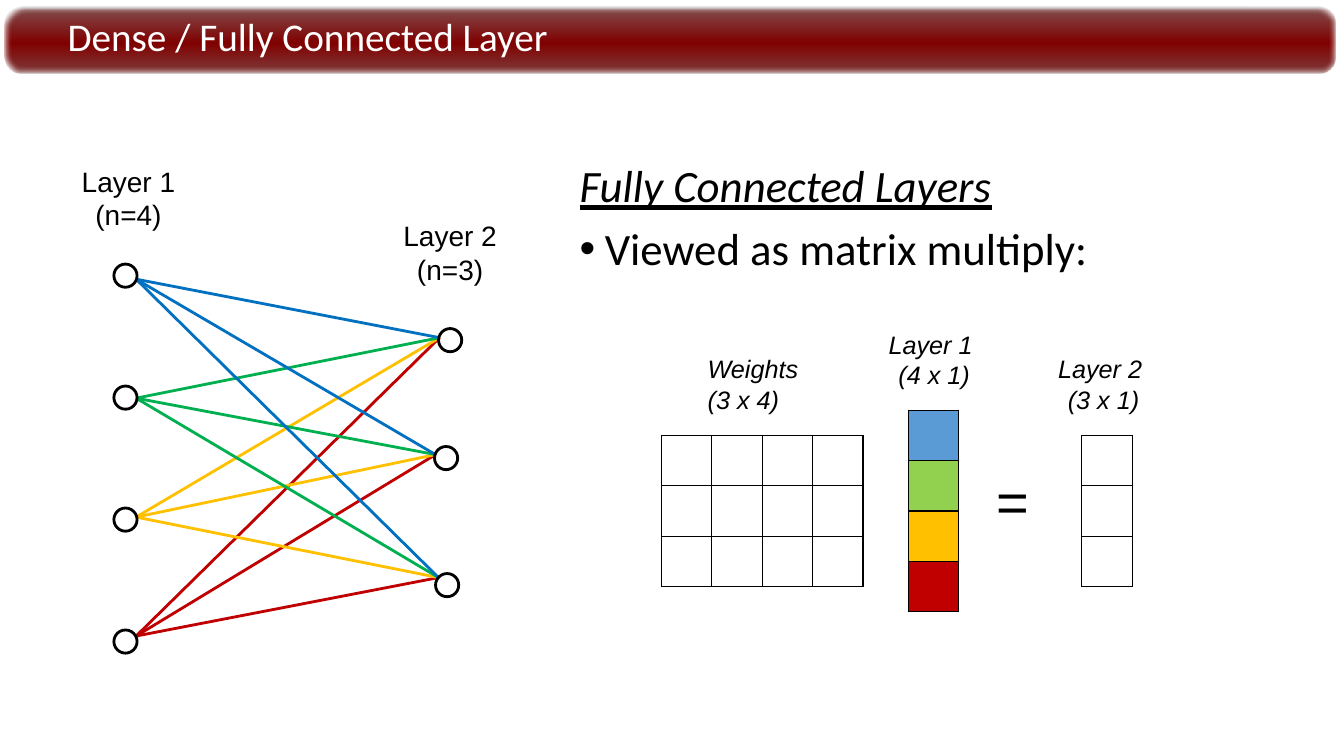
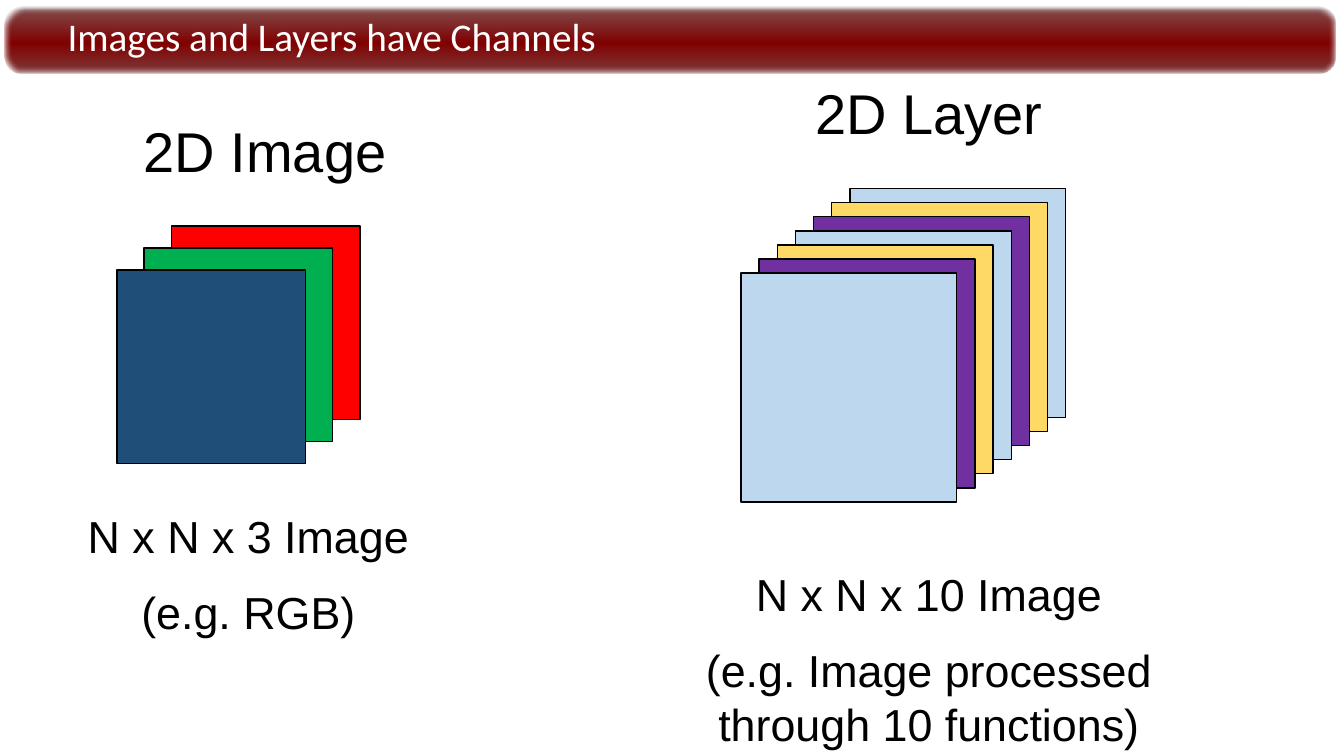
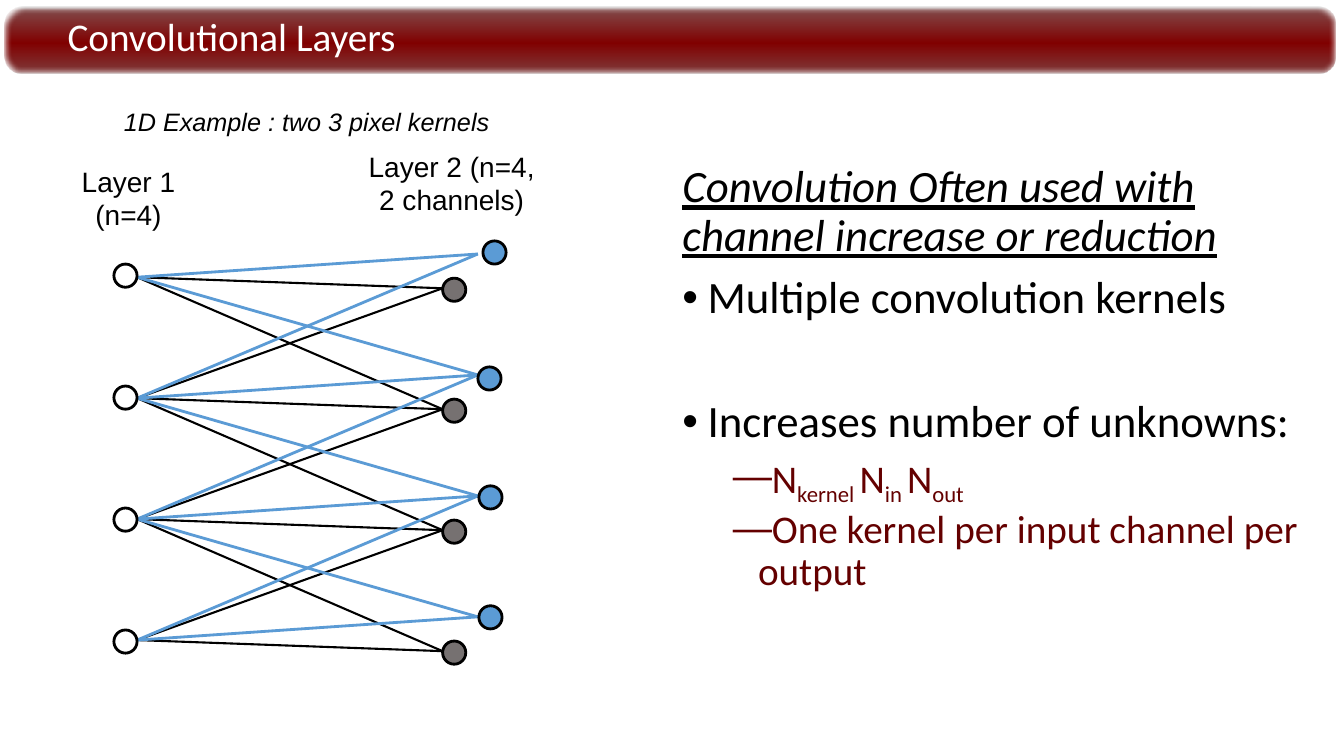
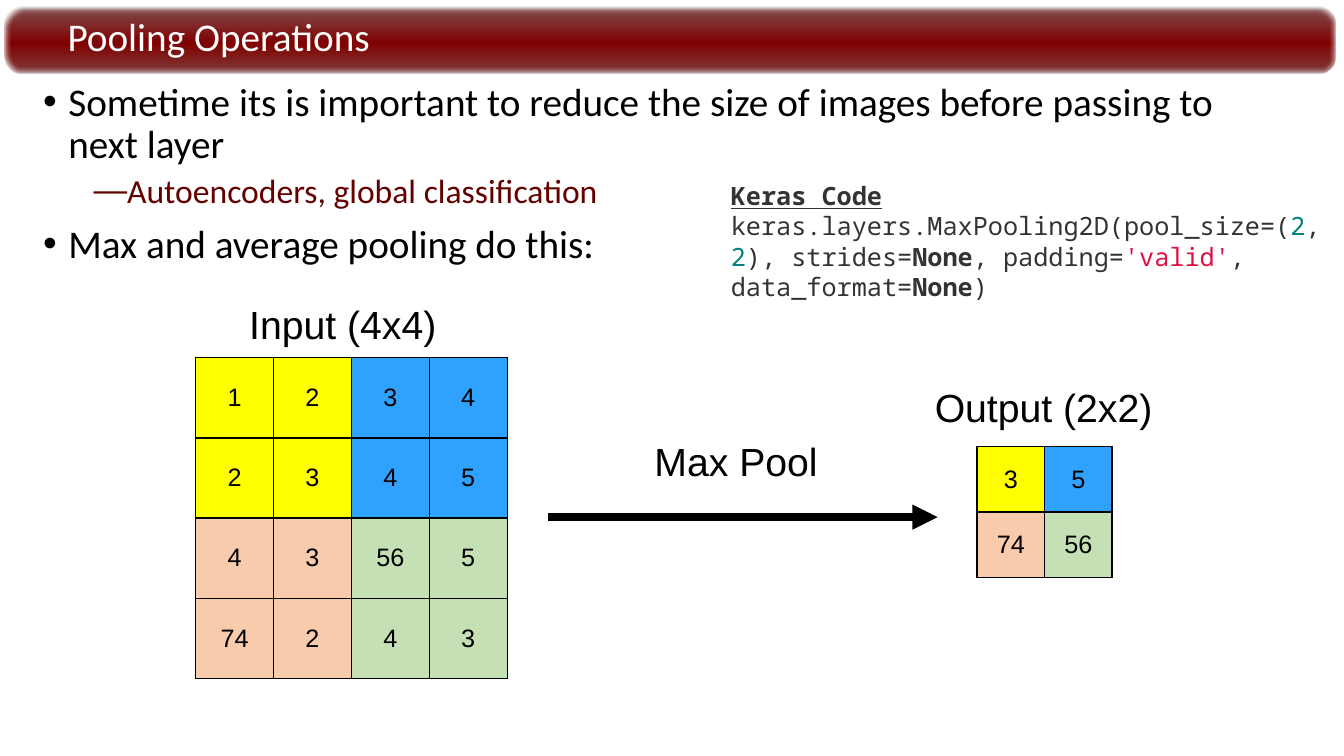
import pptx
import pptx.dml.color
import pptx.enum.shapes
import pptx.enum.text
import pptx.oxml.ns
import pptx.util
from lxml import etree

Inches = pptx.util.Inches
Pt = pptx.util.Pt
qn = pptx.oxml.ns.qn
SHAPE = pptx.enum.shapes.MSO_SHAPE
ALIGN = pptx.enum.text.PP_ALIGN
ANCHOR = pptx.enum.text.MSO_ANCHOR
AUTO_SIZE = pptx.enum.text.MSO_AUTO_SIZE

BLACK = "000000"
WHITE = "FFFFFF"
MAROON = "640000"
RED = "C00000"
AMBER = "FFC000"
GREEN = "00B050"
BLUE = "0070C0"
SKY = "5B9BD5"
GRAY = "767171"
BAND_STOPS = [
    (0, "808080", 50),
    (5, "814949", 100),
    (54, "800000", 100),
    (96, "7F3838", 100),
    (100, "7F6060", 100),
    (100, "808080", 50),
]

NODE_SIZE = 0.23
INPUT_NODES = [(1.13, 2.62 + 1.21 * row) for row in range(4)]
BODY = {"font": "Calibri", "line_spacing": 0.9}
HEADING = {**BODY, "size": 32, "italic": True, "underline": True}
BULLET = {**BODY, "before": 10, "bullet": "•", "indent": 0.25}
DASH = {**BODY, "before": 5, "bullet": "―", "indent": 0.75, "level": 1, "color": MAROON}
LABEL = {"align": ALIGN.CENTER, "before_percent": 50}


def rgb(value):
    return pptx.dml.color.RGBColor.from_string(value)


def add_child(parent, tag, **attributes):
    return etree.SubElement(parent, qn(tag), attributes)


def paint(fill, color):
    if color is None:
        fill.background()
    else:
        fill.solid()
        fill.fore_color.rgb = rgb(color)


def write(frame, text, size=18, font="Arial", color=BLACK, bold=False, italic=False,
          underline=False, align=None, line_spacing=None, before=None,
          before_percent=None, bullet=None, indent=0, level=0):
    para = frame.paragraphs[0]
    if para.runs:
        para = frame.add_paragraph()
    para.alignment = align
    para.level = level
    para.line_spacing = line_spacing
    if before is not None:
        para.space_before = Pt(before)
    properties = para._p.get_or_add_pPr()
    if before_percent is not None:
        para.space_before = Pt(0)
        spacing = properties.find(qn("a:spcBef"))
        spacing.clear()
        add_child(spacing, "a:spcPct", val=str(before_percent * 1000))
    if bullet:
        properties.set("marL", str(Inches(indent)))
        properties.set("indent", str(Inches(-0.25)))
        add_child(properties, "a:buFont", typeface="Arial")
        add_child(properties, "a:buChar", char=bullet)
    spans = [(text, {})] if isinstance(text, str) else text
    for words, changes in spans:
        span = para.add_run()
        span.text = words
        span.font.name = font
        span.font.size = Pt(size)
        span.font.bold = changes.get("bold", bold)
        span.font.italic = italic
        span.font.underline = underline
        span.font.color.rgb = rgb(changes.get("color", color))
        if "baseline" in changes:
            span.font._element.set("baseline", str(changes["baseline"] * 1000))


def add_box(page, left, top, width, height, wrap=True, grow=True):
    box = page.shapes.add_textbox(Inches(left), Inches(top), Inches(width), Inches(height))
    frame = box.text_frame
    frame.word_wrap = wrap
    frame.auto_size = AUTO_SIZE.SHAPE_TO_FIT_TEXT if grow else AUTO_SIZE.NONE
    return frame


def add_label(page, left, top, width, height, *lines, size=20):
    frame = add_box(page, left, top, width, height)
    for line in lines:
        write(frame, line, size=size, **LABEL)


def add_caption(page, left, top, width, height, *lines, align=None):
    frame = add_box(page, left, top, width, height, wrap=False)
    for line in lines:
        write(frame, line, italic=True, align=align)


def add_outlined(page, kind, left, top, width, height, fill=None, weight=1):
    shape = page.shapes.add_shape(kind, Inches(left), Inches(top), Inches(width), Inches(height))
    shape.shadow.inherit = False
    paint(shape.fill, fill)
    shape.line.color.rgb = rgb(BLACK)
    shape.line.width = Pt(weight)


def add_nodes(page, places, fill=None):
    for left, top in places:
        add_outlined(page, SHAPE.OVAL, left, top, NODE_SIZE, NODE_SIZE, fill, 2)


def add_stack(page, left, top, width, height, step_left, step_down, fills):
    for number, fill in enumerate(fills):
        add_outlined(page, SHAPE.RECTANGLE, left - number * step_left,
                     top + number * step_down, width, height, fill)


def add_line(page, start, end, color=BLACK, weight=2, arrow=False):
    line = page.shapes.add_connector(
        pptx.enum.shapes.MSO_CONNECTOR.STRAIGHT,
        *(Inches(value) for value in (*start, *end)))
    line.line.color.rgb = rgb(color)
    line.line.width = Pt(weight)
    properties = line._element.spPr
    if arrow:
        add_child(properties.find(qn("a:ln")), "a:tailEnd", type="triangle")
    add_child(properties, "a:effectLst")


def add_grid(page, left, top, width, height, rows):
    table = page.shapes.add_table(
        len(rows), len(rows[0]), Inches(left), Inches(top), Inches(width), Inches(height)).table
    table.first_row = False
    table.horz_banding = False
    for column in table.columns:
        column.width = Inches(width / len(rows[0]))
    for row, contents in zip(table.rows, rows):
        row.height = Inches(height / len(rows))
        for cell, (text, fill) in zip(row.cells, contents):
            properties = cell._tc.get_or_add_tcPr()
            for side in ("a:lnL", "a:lnR", "a:lnT", "a:lnB"):
                border = add_child(properties, side, w=str(Pt(1)))
                add_child(add_child(border, "a:solidFill"), "a:srgbClr", val=BLACK)
            paint(cell.fill, fill)
            cell.vertical_anchor = ANCHOR.MIDDLE
            if text:
                write(cell.text_frame, text, align=ALIGN.CENTER)


def add_page(deck, title):
    page = deck.slides.add_slide(deck.slide_layouts[6])
    band = page.shapes.add_shape(
        SHAPE.ROUNDED_RECTANGLE, Inches(0.05), Inches(0.07), Inches(13.2), Inches(0.66))
    band.adjustments[0] = 0.27
    band.line.fill.background()
    band.fill.gradient()
    band.fill.gradient_angle = 270
    properties = band._element.spPr
    stops = properties.find(".//" + qn("a:gsLst"))
    stops.clear()
    for position, color, opacity in BAND_STOPS:
        stop = add_child(stops, "a:gs", pos=str(position * 1000))
        shade = add_child(stop, "a:srgbClr", val=color)
        add_child(shade, "a:alpha", val=str(opacity * 1000))
    band.shadow.inherit = False
    add_child(properties.find(qn("a:effectLst")), "a:softEdge", rad=str(Pt(2.5)))

    frame = add_box(page, 0.67, 0.11, 12.43, 0.55, grow=False)
    frame.margin_left = frame.margin_right = frame.margin_top = frame.margin_bottom = 0
    frame.vertical_anchor = ANCHOR.MIDDLE
    write(frame, title, size=28, color=WHITE, before=10, **BODY)
    return page


def build_dense(deck):
    page = add_page(deck, "Dense / Fully Connected Layer")
    frame = add_box(page, 5.65, 1.58, 6.72, 5.28, grow=False)
    write(frame, "Fully Connected Layers", **HEADING)
    write(frame, "Viewed as matrix multiply:", size=32, **BULLET)

    add_grid(page, 6.56, 4.32, 2, 1.5, [[("", None)] * 4] * 3)
    add_grid(page, 9.01, 4.07, 0.5, 2, [[("", fill)] for fill in (SKY, "92D050", AMBER, RED)])
    add_grid(page, 10.73, 4.32, 0.5, 1.5, [[("", None)]] * 3)
    write(add_box(page, 9.79, 4.58, 0.53, 0.77, wrap=False), "=", size=40)
    add_caption(page, 6.92, 3.46, 1.18, 0.71, "Weights", "(3 x 4)")
    add_caption(page, 8.71, 3.22, 1.11, 0.71, "Layer 1 ", "(4 x 1)", align=ALIGN.CENTER)
    add_caption(page, 10.39, 3.46, 1.11, 0.71, "Layer 2 ", "(3 x 1)", align=ALIGN.CENTER)

    colors = [BLUE, GREEN, AMBER, RED]
    for end in [(4.36, 3.35), (4.32, 4.51), (4.35, 5.73)]:
        for row in reversed(range(4)):
            add_line(page, (1.35, 2.77 + 1.18 * row), end, colors[row])
    add_nodes(page, INPUT_NODES + [(4.35, 3.26), (4.31, 4.43), (4.32, 5.69)])
    add_label(page, 0.51, 1.58, 1.53, 0.77, "Layer 1 (n=4)")
    add_label(page, 3.7, 2.12, 1.53, 0.77, "Layer 2 (n=3)")


def build_channels(deck):
    page = add_page(deck, "Images and Layers have Channels")
    add_label(page, 1.2, 1.11, 2.86, 0.77, "2D Image", size=40)
    add_label(page, 0.06, 5, 4.81, 1.45, "N x N x 3 Image", "(e.g. RGB)", size=32)
    add_label(page, 7.78, 0.73, 2.86, 0.77, "2D Layer", size=40)
    add_label(page, 6.81, 5.57, 4.81, 1.99, "N x N x 10 Image",
              "(e.g. Image processed through 10 functions)", size=32)
    add_stack(page, 1.7, 2.24, 1.87, 1.92, 0.27, 0.22, ["FF0000", GREEN, "1F4E79"])
    layer_fills = ["BDD7EE", "FFD966", "7030A0"] * 2 + ["BDD7EE"]
    add_stack(page, 8.43, 1.87, 2.14, 2.27, 0.18, 0.14, layer_fills)


def build_convolution(deck):
    page = add_page(deck, "Convolutional Layers")
    for end_left, end_top, color, weight in [(4.39, 2.86, BLACK, 1.5), (4.74, 2.52, SKY, 2)]:
        for target in range(4):
            for source in range(max(0, target - 1), min(4, target + 2)):
                add_line(page, (1.36, 2.75 + 1.2 * source),
                         (end_left, end_top + 1.2 * target), color, weight)
    add_nodes(page, INPUT_NODES)
    add_nodes(page, [(4.39, 2.76 + 1.2 * row) for row in range(4)], GRAY)
    add_nodes(page, [(4.79, 2.39), (4.74, 3.64), (4.75, 4.82), (4.75, 6.01)], SKY)

    add_caption(page, 1.13, 1.01, 3.86, 0.4, "1D Example : two 3 pixel kernels")
    add_label(page, 0.51, 1.58, 1.53, 0.77, "Layer 1 (n=4)")
    add_label(page, 3.53, 1.43, 1.9, 0.77, "Layer 2 (n=4, 2 channels)")

    frame = add_box(page, 6.67, 1.58, 6.54, 5.28, grow=False)
    write(frame, "Convolution Often used with channel increase or reduction", **HEADING)
    write(frame, "Multiple convolution kernels", size=32, **BULLET)
    write(frame, "Increases number of unknowns:", size=32, **{**BULLET, "before": 54})
    low = {"baseline": -25}
    write(frame, [("N", {}), ("kernel ", low), ("N", {}), ("in ", low), ("N", {}), ("out", low)],
          size=28, **DASH)
    write(frame, "One kernel per input channel per output", size=28, **DASH)


def build_pooling(deck):
    page = add_page(deck, "Pooling Operations")
    frame = add_box(page, 0.33, 0.77, 12.33, 6.5, grow=False)
    write(frame, "Sometime its is important to reduce the size of images before passing to "
          "next layer", size=28, **BULLET)
    write(frame, "Autoencoders, global classification", size=24, **DASH)
    write(frame, "Max and average pooling do this:", size=28, **BULLET)

    quadrants = [["FFFF00", "2FA1FF"], ["F8CBAD", "C5E0B4"]]
    inputs = [[1, 2, 3, 4], [2, 3, 4, 5], [4, 3, 56, 5], [74, 2, 4, 3]]
    outputs = [[3, 5], [74, 56]]
    for values, place in [(inputs, (1.94, 3.55, 3.09, 3.18)), (outputs, (9.69, 4.43, 1.34, 1.3))]:
        half = len(values) // 2
        add_grid(page, *place, [
            [(str(value), quadrants[row // half][column // half])
             for column, value in enumerate(line)]
            for row, line in enumerate(values)])
    add_line(page, (5.44, 5.13), (9.3, 5.13), weight=6, arrow=True)
    for left, top, text in [(1.99, 2.93, "Input (4x4)"), (5.89, 4.29, "Max Pool"),
                            (8.94, 3.75, "Output (2x2)")]:
        add_label(page, left, top, 2.82, 0.57, text, size=28)

    code = {"font": "Noto Sans Mono", "color": "333333"}
    number = {"color": "008080"}
    keyword = {"bold": True}
    frame = add_box(page, 7.15, 1.74, 6.14, 1.31)
    write(frame, "Keras Code", bold=True, underline=True, **code)
    write(frame, [
        ("keras.layers.MaxPooling2D(pool_size=(", {}), ("2", number), (", ", {}), ("2", number),
        ("), strides=", {}), ("None", keyword), (", padding=", {}),
        ("'valid'", {"color": "DD1144"}), (", data_format=", {}), ("None", keyword), (")", {}),
    ], **code)


def main():
    deck = pptx.Presentation()
    deck.slide_width = Inches(13.33)
    deck.slide_height = Inches(7.5)
    build_dense(deck)
    build_channels(deck)
    build_convolution(deck)
    build_pooling(deck)
    deck.save("out.pptx")


if __name__ == "__main__":
    main()
